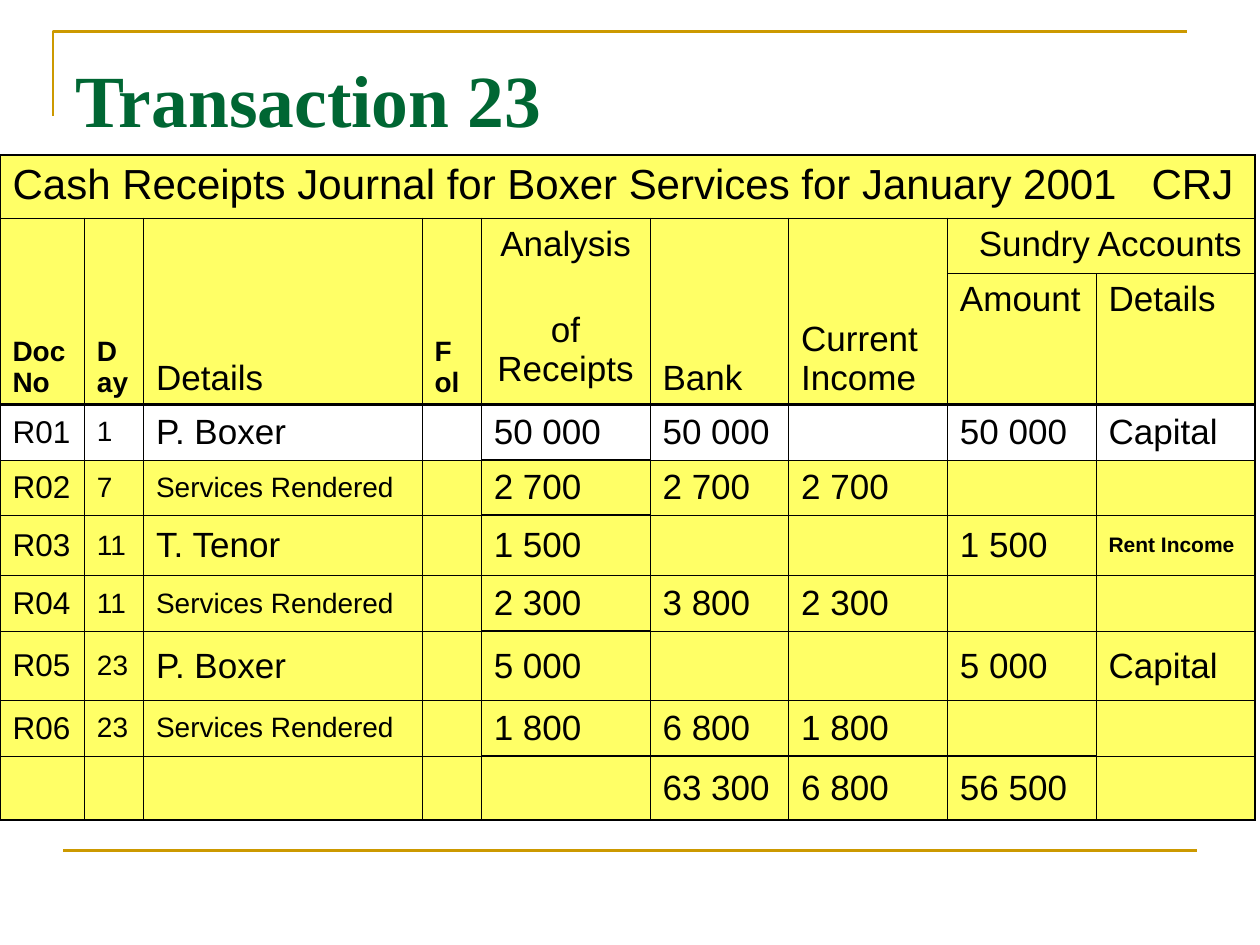
"""Build the Transaction 23 slide with its cash receipts journal."""
from dataclasses import dataclass
from lxml import etree
from pptx import Presentation
from pptx.dml.color import RGBColor
from pptx.enum.shapes import MSO_CONNECTOR
from pptx.enum.text import MSO_ANCHOR, PP_ALIGN
from pptx.oxml.ns import qn
from pptx.util import Inches, Pt


@dataclass(frozen=True)
class Theme:
    gold: RGBColor = RGBColor(0xCC, 0x99, 0x00)
    green: RGBColor = RGBColor(0x00, 0x66, 0x33)
    yellow: RGBColor = RGBColor(0xFF, 0xFF, 0x66)
    white: RGBColor = RGBColor(0xFF, 0xFF, 0xFF)
    black: RGBColor = RGBColor(0, 0, 0)
    title_font: str = "Times New Roman"
    body_font: str = "Arial"
    title: float = 42
    caption: float = 24
    body: float = 20
    document: float = 18
    small: float = 16
    tiny: float = 12
    rule: float = 1.5
    thin: float = 0.45
    outer: float = 1.08
    heavy: float = 1.47


theme = Theme()


def add_run(paragraph, text, font_name, size, color, bold=False):
    run = paragraph.add_run()
    run.text = text
    run.font.name = font_name
    run.font.size = Pt(size)
    run.font.bold = bold
    run.font.color.rgb = color


def set_borders(cell, widths):
    properties = cell._tc.get_or_add_tcPr()
    for position, (side, width) in enumerate(widths.items()):
        line = etree.Element(qn(f"a:{side}"), w=str(Pt(width)))
        fill = etree.SubElement(line, qn("a:solidFill"))
        etree.SubElement(fill, qn("a:srgbClr"), val=str(theme.black))
        properties.insert(position, line)


presentation = Presentation()
presentation.slide_width = Inches(10)
presentation.slide_height = Inches(7.5)
slide = presentation.slides.add_slide(presentation.slide_layouts[6])

builder = slide.shapes.build_freeform(Inches(0.42), Inches(0.92))
builder.add_line_segments(
    [(Inches(0.42), Inches(0.25)), (Inches(9.42), Inches(0.25))], close=False
)
corner = builder.convert_to_shape()
corner.shadow.inherit = False
corner.fill.background()
footer = slide.shapes.add_connector(
    MSO_CONNECTOR.STRAIGHT, Inches(0.5), Inches(6.75), Inches(9.5), Inches(6.75)
)
etree.SubElement(footer._element.spPr, qn("a:effectLst"))
for shape in (corner, footer):
    shape.line.color.rgb = theme.gold
    shape.line.width = Pt(theme.rule)

title = slide.shapes.add_textbox(Inches(0.5), Inches(0.3), Inches(9), Inches(1.25))
title.text_frame.word_wrap = True
title.text_frame.margin_top = Inches(0.13)
add_run(title.text_frame.paragraphs[0], "Transaction 23", theme.title_font,
        theme.title, theme.green, True)

column_widths = [0.67, 0.47, 2.21, 0.47, 1.34, 1.1, 1.26, 1.18, 1.26]
row_heights = [0.44, 0.44, 0.63, 0.44, 0.44, 0.48, 0.44, 0.55, 0.44, 0.51]
journal = [
    ["Cash Receipts Journal for Boxer Services for January 2001\tCRJ"] + [""] * 8,
    ["Doc No", "Day", "Details", "Fol", "Analysis\nof Receipts", "Bank",
     "Current Income", "Sundry Accounts", ""],
    [""] * 7 + ["Amount", "Details"],
    ["R01", "1", "P. Boxer", "", "50 000", "50 000", "", "50 000", "Capital"],
    ["R02", "7", "Services Rendered", "", "2 700", "2 700", "2 700", "", ""],
    ["R03", "11", "T. Tenor", "", "1 500", "", "", "1 500", "Rent Income"],
    ["R04", "11", "Services Rendered", "", "2 300", "3 800", "2 300", "", ""],
    ["R05", "23", "P. Boxer", "", "5 000", "", "", "5 000", "Capital"],
    ["R06", "23", "Services Rendered", "", "1 800", "6 800", "1 800", "", ""],
    [""] * 5 + ["63 300", "6 800", "56 500", ""],
]
special_sizes = {"Services Rendered": theme.small, "Rent Income": theme.tiny}
bold_texts = {"Doc No", "Day", "Fol", "Rent Income"}
heavy_below = {2: range(9), 3: [4], 4: [4], 6: [4], 8: range(4, 8), 9: range(5, 8)}
last_row, last_column = len(row_heights) - 1, len(column_widths) - 1

frame = slide.shapes.add_table(
    len(row_heights), len(column_widths), Inches(0), Inches(1.23),
    Inches(sum(column_widths)), Inches(sum(row_heights))
)
table = frame.table
table.first_row = False
table.horz_banding = False
for column, width in zip(table.columns, column_widths):
    column.width = Inches(width)
for row, height in zip(table.rows, row_heights):
    row.height = Inches(height)
table.cell(0, 0).merge(table.cell(0, last_column))
table.cell(1, 7).merge(table.cell(1, 8))
for column_index in range(7):
    table.cell(1, column_index).merge(table.cell(2, column_index))

for row_index, texts in enumerate(journal):
    for column_index, text in enumerate(texts):
        cell = table.cell(row_index, column_index)
        cell.fill.solid()
        cell.fill.fore_color.rgb = theme.white if row_index == 3 else theme.yellow
        if cell.is_spanned:
            continue
        bottom = row_index + (cell.span_height if cell.is_merge_origin else 1) - 1
        right = column_index + (cell.span_width if cell.is_merge_origin else 1) - 1
        edges = {}
        for side, edge_row, limit in (("lnT", row_index - 1, -1), ("lnB", bottom, last_row)):
            if column_index in heavy_below.get(edge_row, []):
                edges[side] = theme.heavy
            else:
                edges[side] = theme.outer if edge_row == limit else theme.thin
        set_borders(cell, {
            "lnL": theme.outer if column_index == 0 else theme.thin,
            "lnR": theme.outer if right == last_column else theme.thin,
            **edges,
        })

        if row_index > 2:
            cell.vertical_anchor = MSO_ANCHOR.MIDDLE
        elif row_index == 1 and column_index not in (4, 7):
            cell.vertical_anchor = MSO_ANCHOR.BOTTOM
        if not text:
            continue
        size = special_sizes.get(text, theme.body)
        if row_index == 0:
            size = theme.caption
        elif text in ("Doc No", "Fol") or column_index == 1:
            size = theme.small
        elif column_index == 0:
            size = theme.document
        for line_index, line_text in enumerate(text.split("\n")):
            text_frame = cell.text_frame
            paragraph = text_frame.add_paragraph() if line_index else text_frame.paragraphs[0]
            if row_index == 0:
                tabs = etree.SubElement(paragraph._p.get_or_add_pPr(), qn("a:tabLst"))
                etree.SubElement(tabs, qn("a:tab"), pos=str(Inches(9.04)), algn="l")
            if text == "Sundry Accounts":
                paragraph._p.get_or_add_pPr().set("indent", str(Inches(0.15)))
            if "\n" in text:
                paragraph.alignment = PP_ALIGN.CENTER
            if line_index:
                paragraph.space_before = Pt(27.3)
            add_run(paragraph, line_text, theme.body_font, size, theme.black,
                    text in bold_texts)

presentation.save("out.pptx")
